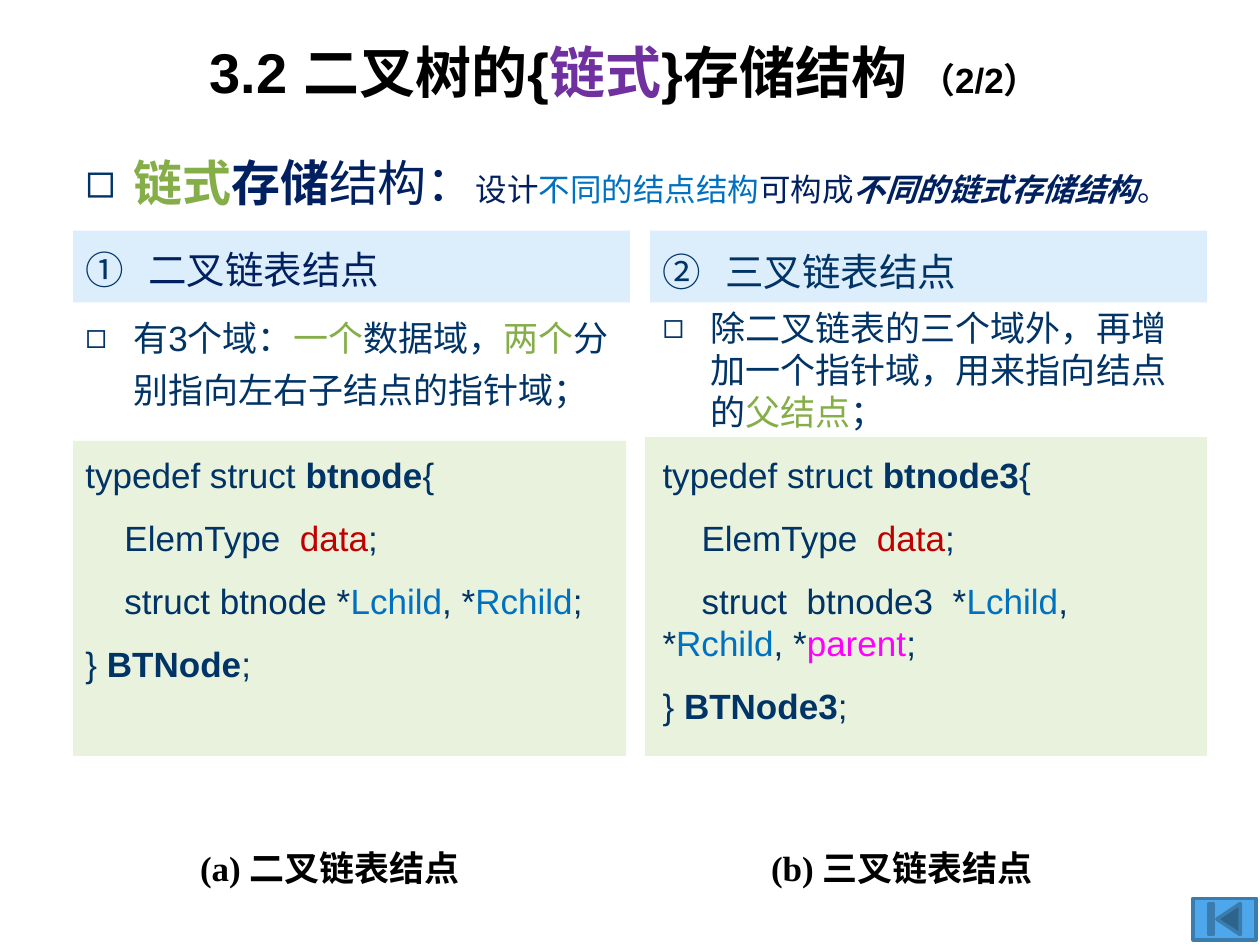
"""Builds the slide on linked storage structures of binary trees."""
import lxml.etree
import pptx
import pptx.dml.color
import pptx.enum.shapes
import pptx.enum.text
import pptx.oxml.ns
import pptx.util

RGBColor = pptx.dml.color.RGBColor
In, Pt = pptx.util.Inches, pptx.util.Pt
SHAPE = pptx.enum.shapes.MSO_SHAPE
ANCHOR = pptx.enum.text.MSO_ANCHOR
ALIGN = pptx.enum.text.PP_ALIGN

BLACK = RGBColor(0x00, 0x00, 0x00)
NAVY = RGBColor(0x00, 0x33, 0x66)
DEEP = RGBColor(0x00, 0x20, 0x60)
PURPLE = RGBColor(0x70, 0x30, 0xA0)
GREEN = RGBColor(0x85, 0xAE, 0x49)
BLUE = RGBColor(0x00, 0x70, 0xC0)
RED = RGBColor(0xC0, 0x00, 0x00)
PINK = RGBColor(0xFF, 0x00, 0xFF)
PALE_GREEN = RGBColor(0xE9, 0xF2, 0xDC)
PALE_BLUE = RGBColor(0xDC, 0xED, 0xFB)
BUTTON = RGBColor(0x4E, 0xA7, 0xEA)
BUTTON_EDGE = RGBColor(0x3A, 0x7C, 0xAD)

TITLE = [("3.2 二叉树的{", BLACK, "b", 32), ("链式", PURPLE, "b", 32),
         ("}存储结构 ", BLACK, "b", 32), ("（2/2）", BLACK, "b", 20)]
INTRO = [("链式", GREEN, "b", 28), ("存储", DEEP, "b", 28), ("结构：", DEEP, "", 28),
         ("设计", DEEP, "", 18), ("不同的结点结构", BLUE, "", 18), ("可构成", DEEP, "", 18),
         ("不同的链式存储结构", DEEP, "bi", 18), ("。", DEEP, "", 18)]
DATA = [("ElemType  ", NAVY), ("data", RED), (";", NAVY)]
COLUMNS = [
    {
        "left": 0.58, "text_width": 4.54, "panel": (0.58, 3.5, 4.39, 2.5),
        "heading": [("二叉链表结点", DEEP, "", 22)], "heading_spacing": 1.2,
        "note": [("有3个域：", NAVY), ("一个", GREEN), ("数据域，", NAVY), ("两个", GREEN),
                 ("分别指向左右子结点的指针域；", NAVY)],
        "note_spacing": 1.25, "code_gap": 24,
        "code": [
            (0, [("typedef struct ", NAVY), ("btnode", NAVY, "b"), ("{", NAVY)]),
            (1, DATA),
            (1, [("struct btnode *", NAVY), ("Lchild", BLUE), (", *", NAVY),
                 ("Rchild", BLUE), (";", NAVY)]),
            (0, [("} ", NAVY), ("BTNode", NAVY, "b"), (";", NAVY)]),
        ],
        "caption": "(a) 二叉链表结点", "caption_center": 2.62,
    },
    {
        "left": 5.16, "text_width": 4.42, "panel": (5.12, 3.47, 4.46, 2.53),
        "heading": [("三叉链表结点", NAVY, "", 22)], "heading_spacing": 1.25,
        "note": [("除二叉链表的三个域外，再增加一个指针域，用来指向结点的", NAVY),
                 ("父结点", GREEN), ("；", NAVY)],
        "note_spacing": None, "code_gap": 12,
        "code": [
            (0, [("typedef struct ", NAVY), ("btnode3", NAVY, "b"), ("{", NAVY)]),
            (1, DATA),
            (1, [("struct  btnode3  *", NAVY), ("Lchild", BLUE), (", *", NAVY),
                 ("Rchild", BLUE), (", *", NAVY), ("parent", PINK), (";", NAVY)]),
            (0, [("} ", NAVY), ("BTNode3", NAVY, "b"), (";", NAVY)]),
        ],
        "caption": "(b) 三叉链表结点", "caption_center": 7.16,
    },
]
HEADING_TOP, HEADING_WIDTH, HEADING_HEIGHT = 1.83, 4.42, 0.57
NOTE_TOP = 2.38
CAPTION_TOP, CAPTION_WIDTH, CAPTION_HEIGHT = 6.69, 2.5, 0.39
HANG, NUMBER_HANG, CODE_INDENT = 0.38, 0.5, 0.31


def box(at):
    return [In(v) for v in at]


def add_run(p, text, color, style="", size=20, font="Arial"):
    r = p.add_run()
    r.text = text
    r.font.name, r.font.size = font, Pt(size)
    r.font.bold, r.font.italic = "b" in style, "i" in style
    r.font.color.rgb = color


def add_runs(p, runs):
    for run in runs:
        add_run(p, *run)


def set_indent(p, margin, first):
    pPr = p._p.get_or_add_pPr()
    pPr.set("marL", str(In(margin)))
    pPr.set("indent", str(In(first)))
    return pPr


def add_bullet(p, hang, spacing, number=None):
    p.space_before = Pt(12)
    if spacing:
        p.line_spacing = spacing
    pPr = set_indent(p, hang, -hang)

    def sub(parent, tag, **attrs):
        return lxml.etree.SubElement(parent, pptx.oxml.ns.qn(tag), attrs)

    sub(sub(pPr, "a:buClr"), "a:srgbClr", val=str(NAVY))
    sub(pPr, "a:buFont", typeface="Arial")
    if number:
        sub(pPr, "a:buAutoNum", type="circleNumDbPlain", startAt=str(number))
    else:
        sub(pPr, "a:buChar", char="◻")


def add_panel(s, at, fill, kind=SHAPE.RECTANGLE):
    sp = s.shapes.add_shape(kind, *box(at))
    sp.shadow.inherit = False
    sp.fill.solid()
    sp.fill.fore_color.rgb = fill
    sp.line.fill.background()
    return sp


def add_text(s, at):
    tf = s.shapes.add_textbox(*box(at)).text_frame
    tf.word_wrap = True
    return tf


def add_column(s, number, col):
    heading = add_panel(s, (col["left"], HEADING_TOP, HEADING_WIDTH, HEADING_HEIGHT), PALE_BLUE)
    tf = heading.text_frame
    tf.vertical_anchor = ANCHOR.TOP
    p = tf.paragraphs[0]
    p.alignment = ALIGN.LEFT
    add_bullet(p, NUMBER_HANG, col["heading_spacing"], number)
    add_runs(p, col["heading"])

    tf = add_text(s, (col["left"], NOTE_TOP, col["text_width"], 5))
    add_bullet(tf.paragraphs[0], HANG, col["note_spacing"])
    add_runs(tf.paragraphs[0], col["note"])
    for i, (level, runs) in enumerate(col["code"]):
        p = tf.add_paragraph()
        p.space_before = Pt(12 if i else col["code_gap"])
        set_indent(p, 0, level * CODE_INDENT)
        add_runs(p, runs)

    left = col["caption_center"] - CAPTION_WIDTH / 2
    tf = add_text(s, (left, CAPTION_TOP, CAPTION_WIDTH, CAPTION_HEIGHT))
    tf.vertical_anchor = ANCHOR.MIDDLE
    tf.paragraphs[0].alignment = ALIGN.CENTER
    add_run(tf.paragraphs[0], col["caption"], BLACK, "b", font="Times New Roman")


def main():
    prs = pptx.Presentation()
    prs.slide_width, prs.slide_height = In(10), In(7.5)
    s = prs.slides.add_slide(prs.slide_layouts[5])

    title = s.shapes.title
    title.left, title.top, title.width, title.height = box((1.08, 0.3, 7.75, 0.53))
    tf = title.text_frame
    tf.vertical_anchor = ANCHOR.MIDDLE
    tf.auto_size = pptx.enum.text.MSO_AUTO_SIZE.NONE
    tf.paragraphs[0].alignment = ALIGN.CENTER
    add_runs(tf.paragraphs[0], TITLE)

    for col in COLUMNS:
        add_panel(s, col["panel"], PALE_GREEN)
    p = add_text(s, (0.58, 1.07, 8.96, 0.76)).paragraphs[0]
    add_bullet(p, HANG, 1.2)
    add_runs(p, INTRO)
    for number, col in enumerate(COLUMNS, 1):
        add_column(s, number, col)

    button = add_panel(s, (9.47, 7.13, 0.5, 0.33), BUTTON, SHAPE.ACTION_BUTTON_BEGINNING)
    button.line.color.rgb = BUTTON_EDGE
    button.line.width = Pt(2)
    prs.save("out.pptx")


if __name__ == "__main__":
    main()
